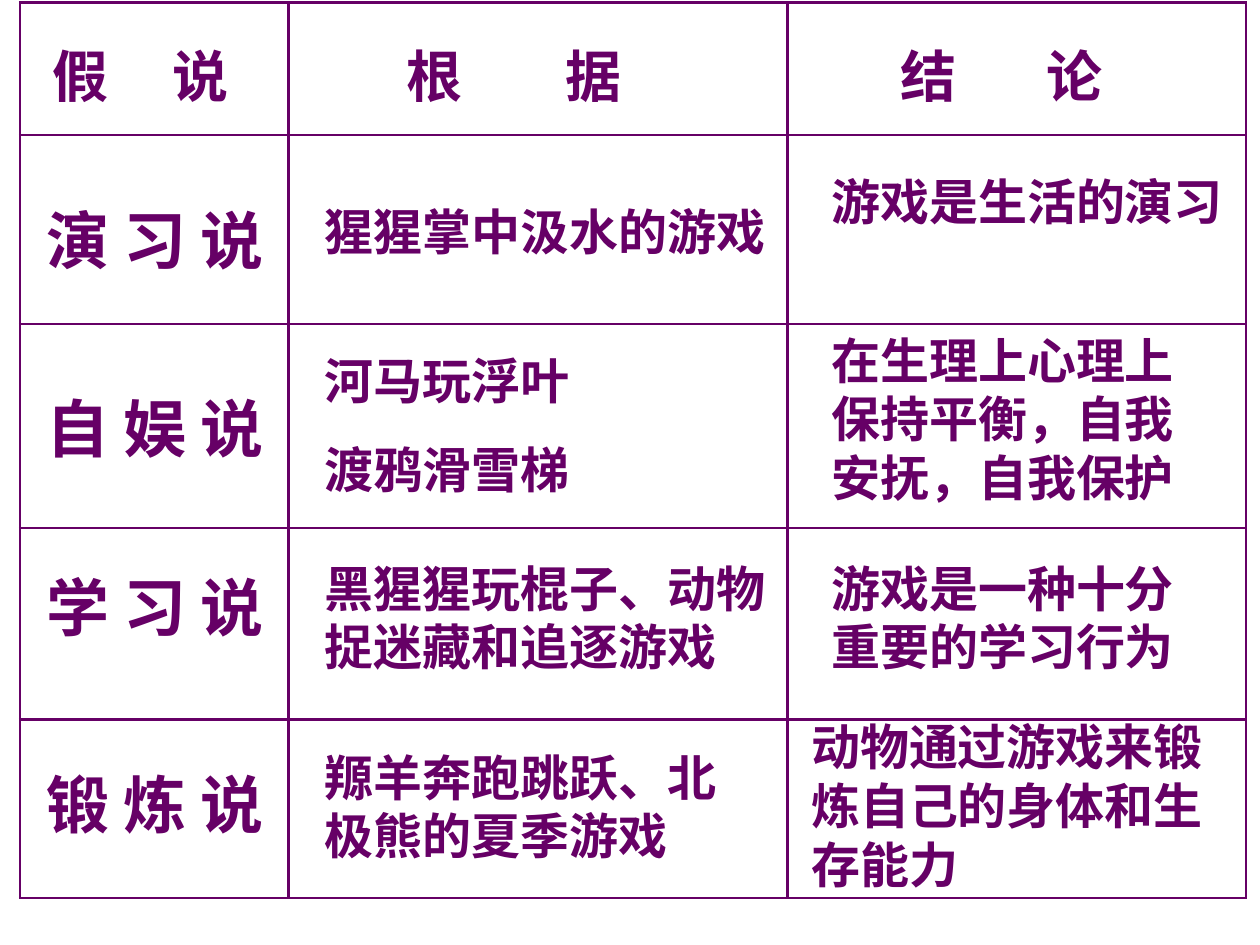
"""Build a slide with a table of four hypotheses about animal play."""
from itertools import accumulate

from lxml import etree
from pptx import Presentation
from pptx import util as u
from pptx.dml.color import RGBColor
from pptx.enum import text
from pptx.oxml import ns

PURPLE = RGBColor(0x66, 0x00, 0x66)
SLIDE = {"slide_width": u.Inches(10), "slide_height": u.Inches(7.5)}
LEFT, TOP = 0.16, 0.02
COLUMNS = [2.13, 3.96, 3.64]
ROWS = [1.05, 1.5, 1.62, 1.52, 1.42]
COLUMN_EDGES = list(accumulate(COLUMNS, initial=LEFT))
ROW_EDGES = list(accumulate(ROWS, initial=TOP))
BORDER_POINTS = 1.47
INSET = 0.1
FRAME = {"word_wrap": True, "auto_size": text.MSO_AUTO_SIZE.SHAPE_TO_FIT_TEXT}
LINE_HEIGHT = {28: 0.47, 32: 0.54, 36: 0.6}

# column, offset from column, width, left inset, tab stop, words
HEADINGS = [
    (0, -0.04, 2.29, 0.3, 0.95, "假\t说"),
    (1, 0.74, 2.6, 0.2, 1.26, "根\t据"),
    (2, 0.8, 2.68, 0.1, 1.16, "结\t论"),
]
# row, offset from row, words
NAMES = [
    (1, 0.48, "演 习 说"),
    (2, 0.47, "自 娱 说"),
    (3, 0.27, "学 习 说"),
    (4, 0.32, "锻 炼 说"),
]
# column, row, offsets from column and row, width, lines, words
DETAILS = [
    (1, 1, 0.19, 0.48, 3.78, 1, "猩猩掌中汲水的游戏"),
    (1, 2, 0.19, 0.16, 3.15, 1, "河马玩浮叶"),
    (1, 2, 0.19, 0.87, 2.76, 1, "渡鸦滑雪梯"),
    (1, 3, 0.19, 0.19, 4.02, 2, "黑猩猩玩棍子、动物捉迷藏和追逐游戏"),
    (1, 4, 0.19, 0.17, 3.46, 2, "羱羊奔跑跳跃、北极熊的夏季游戏"),
    (2, 1, 0.25, 0.24, 3.31, 1, "游戏是生活的演习"),
    (2, 2, 0.25, 0, 3.15, 3, "在生理上心理上保持平衡，自我安抚，自我保护"),
    (2, 3, 0.25, 0.19, 3.15, 2, "游戏是一种十分重要的学习行为"),
    (2, 4, 0.09, -0.07, 3.66, 3, "动物通过游戏来锻炼自己的身体和生存能力"),
]


def set_values(target, values):
    """Set each attribute of the target from a dict."""
    for name, value in values.items():
        setattr(target, name, value)


def add_borders(cell):
    """Draw a solid line on all four sides of a cell."""
    properties = cell._tc.get_or_add_tcPr()
    for side in ("lnL", "lnR", "lnT", "lnB"):
        line = etree.SubElement(properties, ns.qn(f"a:{side}"), w=str(u.Pt(BORDER_POINTS)))
        fill = etree.SubElement(line, ns.qn("a:solidFill"))
        etree.SubElement(fill, ns.qn("a:srgbClr"), val=str(PURPLE))


def add_grid(page):
    """Add the empty ruled table."""
    size = [u.Inches(value) for value in (LEFT, TOP, sum(COLUMNS), sum(ROWS))]
    table = page.shapes.add_table(len(ROWS), len(COLUMNS), *size).table
    set_values(table, {"first_row": False, "horz_banding": False})
    for column, width in zip(table.columns, COLUMNS):
        column.width = u.Inches(width)
    for row, height in zip(table.rows, ROWS):
        row.height = u.Inches(height)
    for cell in table.iter_cells():
        add_borders(cell)
        cell.fill.background()


def add_words(page, column, row, offset, width, words, size, lines=1, inset=INSET, tab=None):
    """Add bold words at an offset from the corner of a grid cell."""
    left, top = COLUMN_EDGES[column] + offset[0], ROW_EDGES[row] + offset[1]
    height = INSET + lines * LINE_HEIGHT[size]
    box = page.shapes.add_textbox(*[u.Inches(value) for value in (left, top, width, height)])
    set_values(box.text_frame, {**FRAME, "margin_left": u.Inches(inset)})
    para = box.text_frame.paragraphs[0]
    if tab:
        stops = etree.SubElement(para._p.get_or_add_pPr(), ns.qn("a:tabLst"))
        etree.SubElement(stops, ns.qn("a:tab"), pos=str(u.Inches(tab)), algn="l")
    span = para.add_run()
    span.text = words
    set_values(span.font, {"name": "Arial", "size": u.Pt(size), "bold": True})
    span.font.color.rgb = PURPLE


def main():
    """Build and save the deck."""
    deck = Presentation()
    set_values(deck, SLIDE)
    page = deck.slides.add_slide(deck.slide_layouts[6])
    add_grid(page)
    for column, across, width, inset, tab, words in HEADINGS:
        add_words(page, column, 0, (across, 0.26), width, words, 32, inset=inset, tab=tab)
    for row, down, words in NAMES:
        add_words(page, 0, row, (0.11, down), COLUMNS[0], words, 36)
    for column, row, across, down, width, lines, words in DETAILS:
        add_words(page, column, row, (across, down), width, words, 28, lines)
    deck.save("out.pptx")


if __name__ == "__main__":
    main()
